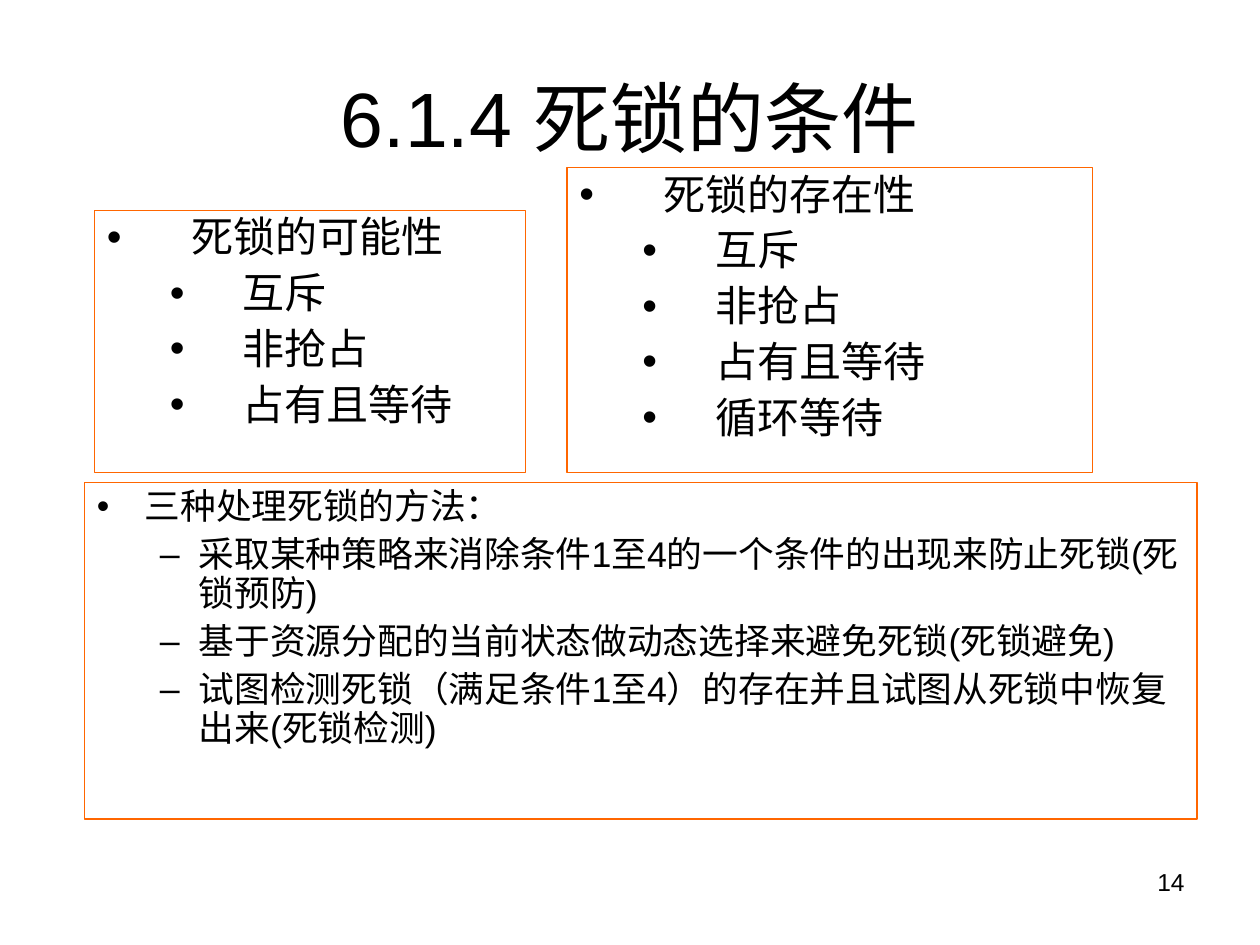
import pptx
import pptx.dml.color
import pptx.enum.shapes
import pptx.enum.text
import pptx.oxml.ns
import pptx.util
from lxml import etree

Inches = pptx.util.Inches
Pt = pptx.util.Pt
PP_ALIGN = pptx.enum.text.PP_ALIGN
MSO_ANCHOR = pptx.enum.text.MSO_ANCHOR
BLACK = pptx.dml.color.RGBColor(0x00, 0x00, 0x00)
ORANGE = pptx.dml.color.RGBColor(0xFF, 0x66, 0x00)

CONDITION_LEVELS = [("•", 0.67, 0.67), ("•", 1.08, 0.58)]
METHOD_LEVELS = [("•", 0.38, 0.38), ("–", 0.81, 0.31)]
SHARED_CONDITIONS = ["互斥", "非抢占", "占有且等待"]
METHODS = [
    "采取某种策略来消除条件1至4的一个条件的出现来防止死锁(死锁预防)",
    "基于资源分配的当前状态做动态选择来避免死锁(死锁避免)",
    "试图检测死锁（满足条件1至4）的存在并且试图从死锁中恢复出来(死锁检测)",
]


class SlideBuilder:
    font = "Arial"

    def __init__(self, slide):
        self.slide = slide

    def add_run(self, p, text, size):
        r = p.add_run()
        r.text = text
        r.font.name = self.font
        r.font.size = Pt(size)
        r.font.color.rgb = BLACK

    def add_text(self, box, text, size, align, anchor=MSO_ANCHOR.TOP):
        sp = self.slide.shapes.add_textbox(*map(Inches, box))
        tf = sp.text_frame
        tf.word_wrap = True
        tf.vertical_anchor = anchor
        p = tf.paragraphs[0]
        p.alignment = align
        self.add_run(p, text, size)

    def add_bullet(self, p, char, left, hanging):
        qn = pptx.oxml.ns.qn
        pPr = p._p.get_or_add_pPr()
        pPr.set("marL", str(Inches(left)))
        pPr.set("indent", str(-Inches(hanging)))
        color = etree.SubElement(pPr, qn("a:buClr"))
        etree.SubElement(color, qn("a:srgbClr"), val=str(BLACK))
        etree.SubElement(pPr, qn("a:buFont"), typeface=self.font)
        etree.SubElement(pPr, qn("a:buChar"), char=char)

    def add_list_box(self, box, heading, items, levels, size, space):
        sp = self.slide.shapes.add_shape(
            pptx.enum.shapes.MSO_SHAPE.RECTANGLE, *map(Inches, box))
        sp.shadow.inherit = False
        sp.fill.background()
        sp.line.color.rgb = ORANGE
        sp.line.width = Pt(0.75)
        tf = sp.text_frame
        tf.word_wrap = True
        tf.vertical_anchor = MSO_ANCHOR.TOP
        for i, text in enumerate([heading, *items]):
            p = tf.add_paragraph() if i else tf.paragraphs[0]
            level = min(i, 1)
            self.add_bullet(p, *levels[level])
            p.level = level
            p.alignment = PP_ALIGN.LEFT
            p.line_spacing = 0.9
            p.space_before = Pt(space if i else 0)
            self.add_run(p, text, size)


def main():
    prs = pptx.Presentation()
    prs.slide_width = Inches(10)
    prs.slide_height = Inches(7.5)
    s = SlideBuilder(prs.slides.add_slide(prs.slide_layouts[6]))

    s.add_text((7.17, 6.83, 2.33, 0.52), "14", 14, PP_ALIGN.RIGHT)
    s.add_text((0.5, 0.3, 9, 1.25), "6.1.4 死锁的条件", 44,
               PP_ALIGN.CENTER, MSO_ANCHOR.MIDDLE)
    s.add_list_box((0.75, 1.67, 3.42, 2.08), "死锁的可能性",
                   SHARED_CONDITIONS, CONDITION_LEVELS, 24, 6)
    s.add_list_box((4.5, 1.33, 4.17, 2.42), "死锁的存在性",
                   SHARED_CONDITIONS + ["循环等待"], CONDITION_LEVELS, 24, 6)
    s.add_list_box((0.67, 3.83, 8.83, 2.67), "三种处理死锁的方法：",
                   METHODS, METHOD_LEVELS, 20.4, 5.5)

    prs.save("out.pptx")


if __name__ == "__main__":
    main()
